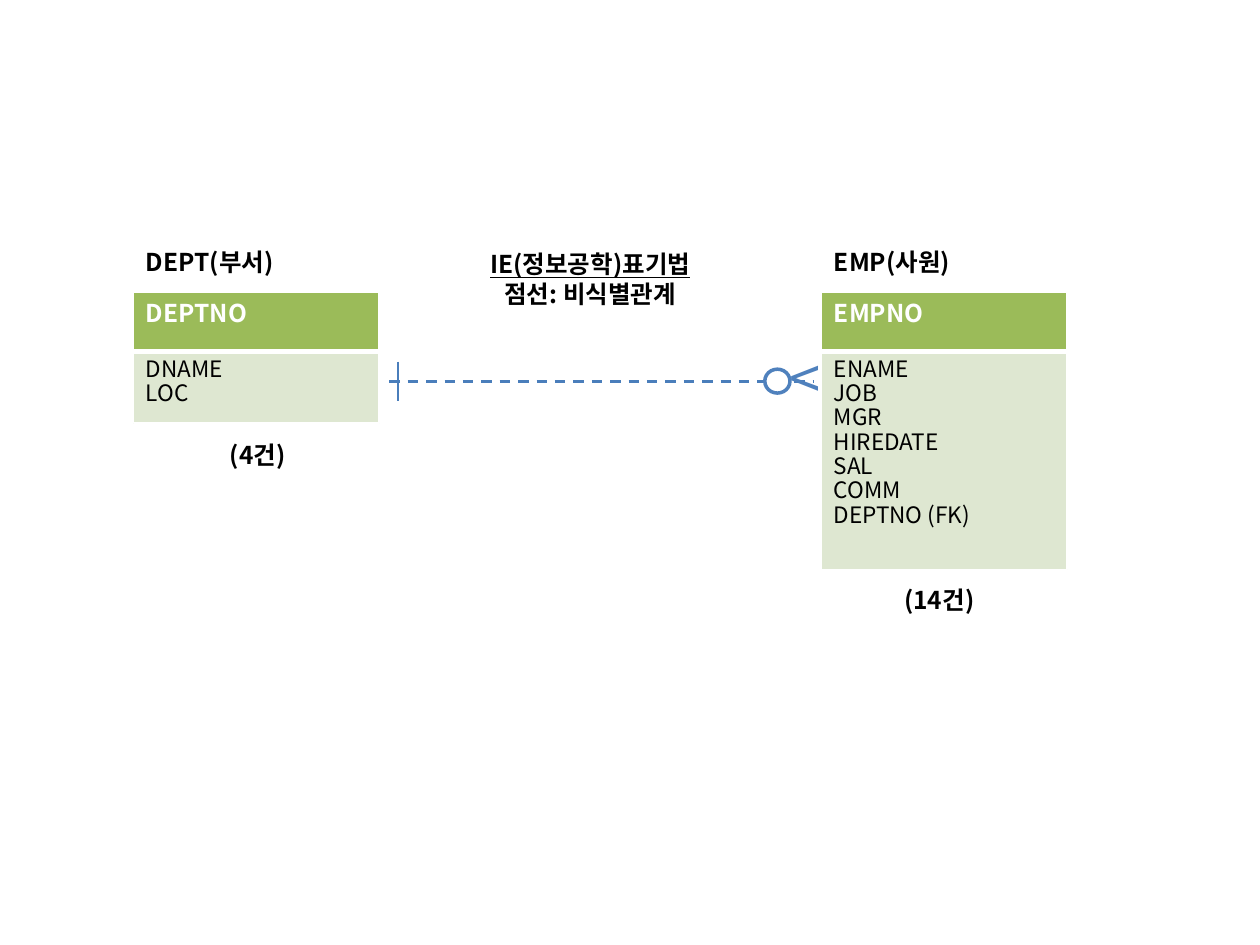
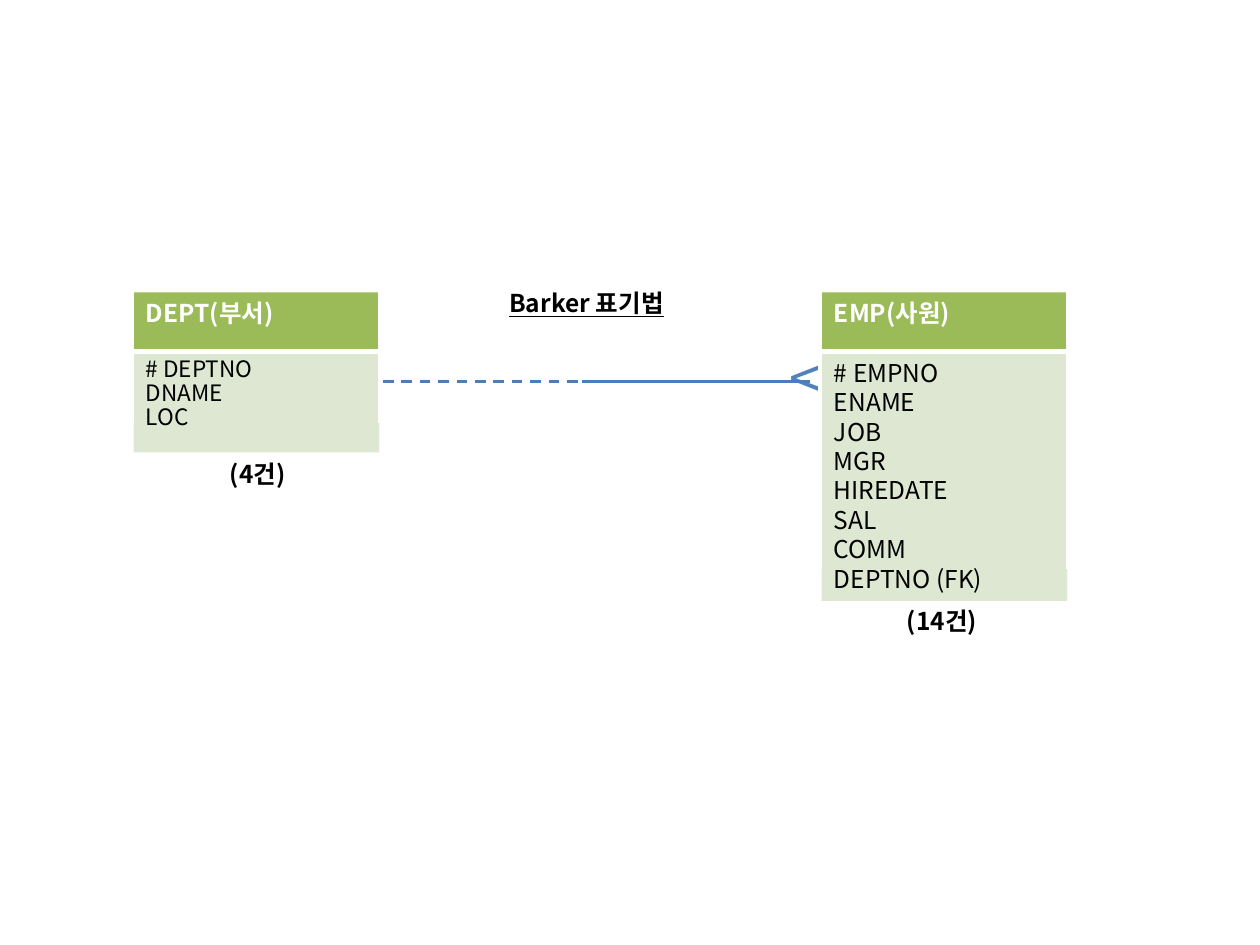
from lxml.etree import SubElement
from pptx import Presentation
from pptx.dml.color import RGBColor
from pptx.enum.dml import MSO_LINE
from pptx.enum.shapes import MSO_CONNECTOR, MSO_SHAPE
from pptx.enum.text import MSO_ANCHOR, PP_ALIGN
from pptx.oxml.ns import qn
from pptx.util import Inches, Pt

FONT = "Noto Sans CJK KR"
COLORS = {
    "text": "000000",
    "white": "FFFFFF",
    "header": "9BBB59",
    "body": "DEE7D1",
    "relation": "4A7EBB",
    "symbol": "4F81BD",
}
DEPT_LEFT, EMP_LEFT, ENTITY_WIDTH = 1.06, 6.52, 1.95
HEADER_TOP, HEADER_HEIGHT = 2.32, 0.47
BODY_TOP = HEADER_TOP + HEADER_HEIGHT
RELATION_Y = 3.03
DEPT_COLUMNS = ["DNAME", "LOC"]
EMP_COLUMNS = ["ENAME", "JOB", "MGR", "HIREDATE", "SAL", "COMM", "DEPTNO (FK)"]


def color(name):
    """Return the named colour as an RGBColor."""
    return RGBColor.from_string(COLORS[name])


def write(frame, lines, size=14, tone="text", bold=False, underlined=0,
          align=PP_ALIGN.LEFT, spacing=1.0):
    """Write lines into a text frame, underlining the first few of them."""
    frame.word_wrap = True
    frame.vertical_anchor = MSO_ANCHOR.TOP
    for index, line in enumerate(lines):
        paragraph = frame.paragraphs[0] if index == 0 else frame.add_paragraph()
        paragraph.alignment = align
        paragraph.line_spacing = spacing
        run = paragraph.add_run()
        run.text = line
        run.font.size = Pt(size)
        run.font.bold = bold
        run.font.underline = index < underlined
        run.font.color.rgb = color(tone)
        run.font.name = FONT
        SubElement(run.font._element, qn("a:ea"), typeface=FONT)


def add_label(slide, lines, left, top, width, height=0.34, **text_format):
    """Add a free-standing text box."""
    label = slide.shapes.add_textbox(*map(Inches, (left, top, width, height)))
    write(label.text_frame, lines, **text_format)


def add_box(slide, kind, left, top, width, height, fill):
    """Add a filled shape with neither outline nor shadow."""
    box = slide.shapes.add_shape(kind, *map(Inches, (left, top, width, height)))
    box.shadow.inherit = False
    box.fill.solid()
    box.fill.fore_color.rgb = color(fill)
    box.line.fill.background()
    return box


def add_line(slide, start, end, tone="relation", weight=1.5, dashed=False):
    """Draw a straight line between two points."""
    line = slide.shapes.add_connector(
        MSO_CONNECTOR.STRAIGHT, *map(Inches, (*start, *end)))
    line.line.color.rgb = color(tone)
    line.line.width = Pt(weight)
    if dashed:
        line.line.dash_style = MSO_LINE.DASH
    SubElement(line._element.spPr, qn("a:effectLst"))


def add_entity(slide, left, heading, columns, body_height, edge_bottom,
               closed=False, size=12.9, spacing=0.9):
    """Add an entity with its heading, columns and white rules."""
    right = left + ENTITY_WIDTH
    header = add_box(slide, MSO_SHAPE.RECTANGLE, left, HEADER_TOP,
                     ENTITY_WIDTH, HEADER_HEIGHT, "header")
    write(header.text_frame, [heading], tone="white", bold=True)
    body = add_box(slide, MSO_SHAPE.RECTANGLE, left, BODY_TOP,
                   ENTITY_WIDTH, body_height, "body")
    write(body.text_frame, columns, size=size, spacing=spacing)
    add_line(slide, (left, BODY_TOP), (right, BODY_TOP), "white", 3)
    for x in (left, right):
        add_line(slide, (x, HEADER_TOP), (x, edge_bottom), "white", 1)
    if closed:
        for y in (HEADER_TOP, edge_bottom):
            add_line(slide, (left, y), (right, y), "white", 1)


def add_count(slide, count, left, top):
    """Add the row count below an entity."""
    add_label(slide, [count], left, top, 1.81, bold=True, align=PP_ALIGN.CENTER)


def add_many_end(slide):
    """Add the crow's foot on the employee side."""
    add_label(slide, ["<"], 6.06, 2.68, 0.55, 0.64, size=32, tone="symbol",
              align=PP_ALIGN.RIGHT)


def build_ie_slide(slide):
    """Show the relation in IE notation."""
    add_label(slide, ["DEPT(부서)"], DEPT_LEFT, 1.91, 1.57, bold=True)
    add_entity(slide, DEPT_LEFT, "DEPTNO", DEPT_COLUMNS, 0.57, 3.36, closed=True)
    add_label(slide, ["EMP(사원)"], EMP_LEFT, 1.91, 1.99, bold=True)
    add_entity(slide, EMP_LEFT, "EMPNO", EMP_COLUMNS, 1.73, 4.52, closed=True)
    add_count(slide, "(4건)", 1.14, 3.44)
    add_count(slide, "(14건)", 6.55, 4.59)
    add_line(slide, (3.09, RELATION_Y), (6.45, RELATION_Y), dashed=True)
    add_many_end(slide)
    optional_mark = add_box(slide, MSO_SHAPE.OVAL, 6.07, 2.93, 0.2, 0.19, "white")
    optional_mark.line.color.rgb = color("symbol")
    optional_mark.line.width = Pt(2)
    add_line(slide, (3.16, 2.87), (3.16, 3.18))
    add_label(slide, ["IE(정보공학)표기법", "점선: 비식별관계"], 3.63, 1.93, 2.11,
              0.57, bold=True, underlined=1, align=PP_ALIGN.CENTER)


def build_barker_slide(slide):
    """Show the relation in Barker notation."""
    add_entity(slide, DEPT_LEFT, "DEPT(부서)", ["# DEPTNO", *DEPT_COLUMNS],
               0.8, 3.36)
    add_entity(slide, EMP_LEFT, "EMP(사원)", ["# EMPNO", *EMP_COLUMNS],
               1.98, 4.52, size=14, spacing=1.0)
    add_count(slide, "(4건)", 1.14, 3.59)
    add_count(slide, "(14건)", 6.57, 4.76)
    add_many_end(slide)
    add_line(slide, (3.04, RELATION_Y), (4.7, RELATION_Y), dashed=True)
    add_line(slide, (4.62, RELATION_Y), (6.43, RELATION_Y))
    add_label(slide, ["Barker 표기법"], 3.52, 2.24, 2.27, 0.57, bold=True,
              underlined=1, align=PP_ALIGN.CENTER)


def main():
    """Build and save the presentation."""
    deck = Presentation()
    deck.slide_width, deck.slide_height = Inches(10), Inches(7.5)
    for build in (build_ie_slide, build_barker_slide):
        build(deck.slides.add_slide(deck.slide_layouts[6]))
    deck.save("out.pptx")


if __name__ == "__main__":
    main()
